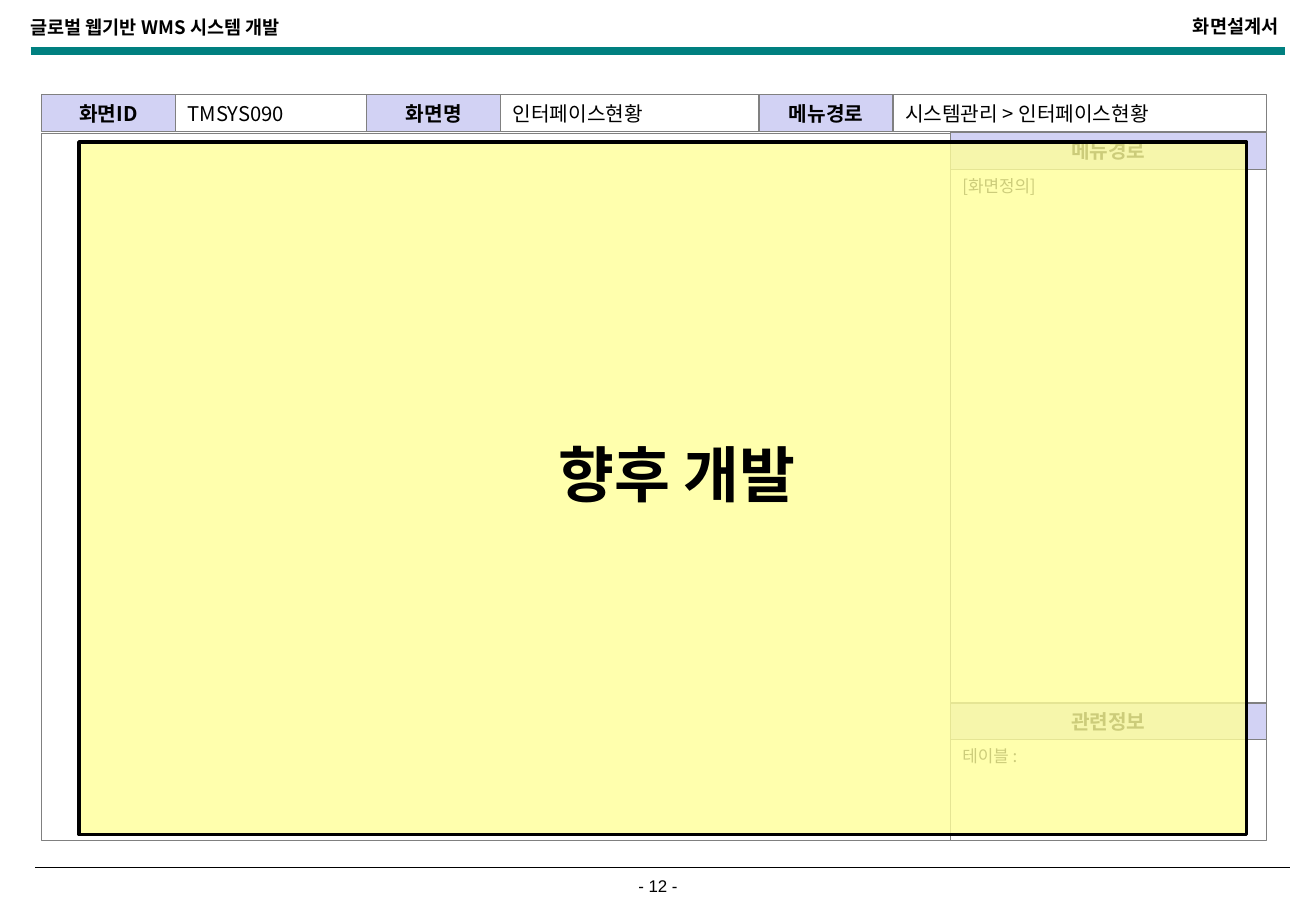
from pptx import Presentation
from pptx.dml.color import RGBColor
from pptx.enum.shapes import MSO_CONNECTOR, MSO_SHAPE
from pptx.enum.text import MSO_ANCHOR, PP_ALIGN
from pptx.oxml.ns import qn
from pptx.util import Cm, Pt
from lxml import etree

RECTANGLE = MSO_SHAPE.RECTANGLE
STRAIGHT = MSO_CONNECTOR.STRAIGHT
TOP, MIDDLE = MSO_ANCHOR.TOP, MSO_ANCHOR.MIDDLE
LEFT, CENTER, RIGHT = PP_ALIGN.LEFT, PP_ALIGN.CENTER, PP_ALIGN.RIGHT

COLORS = {"teal": "008080", "black": "000000", "gray": "808080",
          "label": "D2D2F4", "white": "FFFFFF", "note": "FFFF99"}
KOREAN, LATIN = "Noto Sans CJK KR", "Arial"
ROW = 0.77  # height of a label row, cm

LABEL = {"size": Pt(12), "bold": True}
VALUE = {"size": Pt(12), "bold": False}
BODY = {"size": Pt(10), "bold": False}
RUNNING = {"size": Pt(11), "bold": True}
NOTICE = {"size": Pt(36), "bold": True}


def color(name):
    return RGBColor.from_string(COLORS[name])


def write(shape, text, style, align=LEFT, anchor=TOP, font=KOREAN):
    frame = shape.text_frame
    frame.word_wrap = True
    frame.vertical_anchor = anchor
    para = frame.paragraphs[0]
    para.alignment = align
    span = para.add_run()
    span.text = text
    for name, value in {**style, "name": font}.items():
        setattr(span.font, name, value)
    span.font.color.rgb = color("black")
    # Hangul takes the East Asian typeface
    etree.SubElement(span.font._element, qn("a:ea"), typeface=font)


def add_text(page, box, text, style, **options):
    shape = page.shapes.add_textbox(*map(Cm, box))
    write(shape, text, style, **options)


def add_rectangle(page, box, fill, line="gray", weight=0.75):
    shape = page.shapes.add_shape(RECTANGLE, *map(Cm, box))
    shape.shadow.inherit = False
    shape.fill.solid()
    shape.fill.fore_color.rgb = color(fill)
    shape.line.color.rgb = color(line)
    shape.line.width = Pt(weight)
    return shape


def add_label(page, box, text):
    write(add_rectangle(page, box, "label"), text, LABEL, CENTER, MIDDLE)


def add_rule(page, left, top, width, line, weight):
    rule = page.shapes.add_connector(
        STRAIGHT, Cm(left), Cm(top), Cm(left + width), Cm(top))
    rule.line.color.rgb = color(line)
    rule.line.width = Pt(weight)
    etree.SubElement(rule._element.spPr, qn("a:effectLst"))


def add_header(page, box):
    left, top, width, height = box
    add_text(page, (left - 0.26, top + 0.02, 13.36, 0.94),
             "글로벌 웹기반 WMS 시스템 개발", RUNNING)
    add_text(page, (left + width - 8.86, top, 8.97, 0.94),
             "화면설계서", RUNNING, align=RIGHT)
    add_rule(page, left, top + height, width, "teal", 4.5)


def add_footer(page, box):
    left, top, width, height = box
    add_rule(page, left, top, width, "black", 1)
    add_text(page, (left + width / 2 - 1.28, top + 0.05, 2.36, height),
             "- 12 -", BODY, align=CENTER, font=LATIN)


def add_screen_row(page, box):
    """Label and value cells across the top of the form."""
    left, top, width, height = box
    label_width = 2.8
    fields = [("화면ID", "TMSYS090", 4), ("화면명", "인터페이스현황", 5.4),
              ("메뉴경로", "시스템관리 > 인터페이스현황", 7.8)]
    for label, value, value_width in fields:
        add_label(page, (left, top, label_width, height), label)
        left += label_width
        cell = add_rectangle(page, (left, top, value_width, height), "white")
        write(cell, value, VALUE, anchor=MIDDLE)
        left += value_width


def add_description(page, box):
    """Titled panels stacked in the right column."""
    left, top, width, height = box
    related_height = 2.11
    sections = [("메뉴경로", "[화면정의]", height - 2 * ROW - related_height),
                ("관련정보", "테이블 :", related_height)]
    for label, body, body_height in sections:
        add_label(page, (left, top, width, ROW), label)
        top += ROW
        panel = add_rectangle(page, (left, top, width, body_height), "white")
        write(panel, body, BODY)
        top += body_height


def add_form(page, box):
    left, top, width, height = box
    side = 6.6
    add_screen_row(page, (left, top, width, ROW))
    below = top + ROW + 0.02
    add_description(page, (left + width - side, below, side, height - ROW - 0.02))
    add_rectangle(page, (left, below + 0.02, width - side, height - ROW - 0.04),
                  "white")


def add_notice(page, box):
    """Translucent cover marking the screen as future work."""
    left, top, width, height = box
    cover = add_rectangle(page, box, "note", "black", 2)
    tint = cover.fill._xPr.find(".//" + qn("a:srgbClr"))
    etree.SubElement(tint, qn("a:alpha"), val="80000")
    text_width, text_height = 16.28, 1.8
    add_text(page, (left + (width - text_width) / 2 + 0.3,
                    top + (height - text_height) / 2 - 0.32,
                    text_width, text_height),
             "향후 개발", NOTICE, align=CENTER, anchor=MIDDLE)


def main():
    deck = Presentation()
    deck.slide_width, deck.slide_height = Cm(27.51), Cm(19.05)
    page = deck.slides.add_slide(deck.slide_layouts[6])
    add_header(page, (0.64, 0.18, 26.23, 0.89))
    add_footer(page, (0.74, 18.14, 26.23, 0.69))
    add_form(page, (0.87, 1.98, 25.6, 15.6))
    add_notice(page, (1.65, 2.97, 24.41, 14.48))
    deck.save("out.pptx")


if __name__ == "__main__":
    main()
